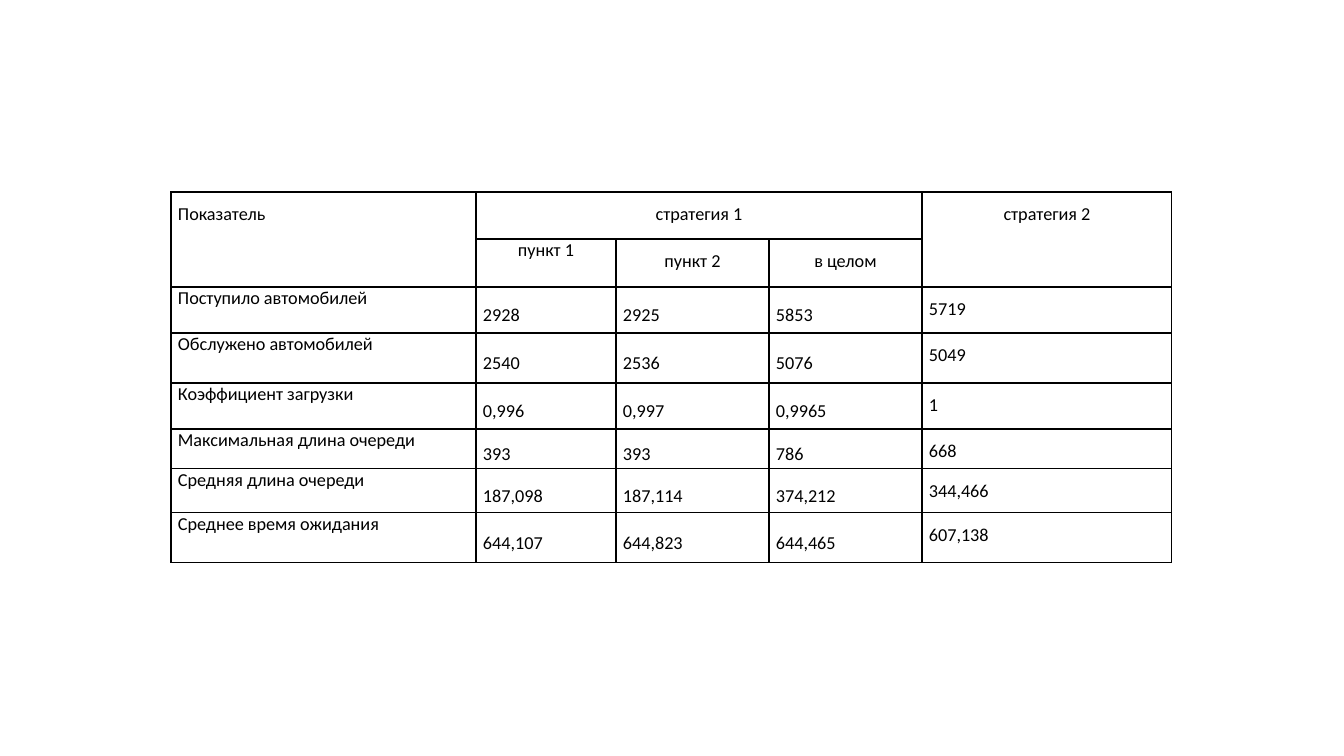
from lxml import etree
from pptx import Presentation
from pptx.dml.color import RGBColor
from pptx.enum.text import MSO_ANCHOR, PP_ALIGN
from pptx.oxml.ns import qn
from pptx.util import Pt

EMU = 914400 / 100.8
CENTER, JUSTIFY = PP_ALIGN.CENTER, PP_ALIGN.JUSTIFY
TOP, MIDDLE = MSO_ANCHOR.TOP, MSO_ANCHOR.MIDDLE
BLACK = "000000"
COLS = [305, 140, 153, 153, 250]
ROWS = [47, 48, 46, 50, 46, 40, 44, 50]
HEAD = [
    ["Показатель", "стратегия 1", "", "", "стратегия 2"],
    ["", "пункт 1", "пункт 2", "в целом", ""],
]
BODY = [
    ["Поступило автомобилей", "2928", "2925", "5853", "5719"],
    ["Обслужено автомобилей", "2540", "2536", "5076", "5049"],
    ["Коэффициент загрузки", "0,996", "0,997", "0,9965", "1"],
    ["Максимальная длина очереди", "393", "393", "786", "668"],
    ["Средняя длина очереди", "187,098", "187,114", "374,212", "344,466"],
    ["Среднее время ожидания", "644,107", "644,823", "644,465", "607,138"],
]
SPANS = [(0, 0, 1, 0), (0, 1, 0, 3), (0, 4, 1, 4)]


def px(n):
    return round(n * EMU)


def color(code):
    return RGBColor.from_string(code)


def frame(cell):
    """Draw the four borders of a cell and leave it unfilled."""
    props = cell._tc.get_or_add_tcPr()
    for side in ("lnL", "lnR", "lnT", "lnB"):
        line = etree.SubElement(props, qn("a:" + side), w=str(Pt(1)))
        fill = etree.SubElement(line, qn("a:solidFill"))
        etree.SubElement(fill, qn("a:srgbClr"), val=BLACK)
    cell.fill.background()


def write(cell, text, align, anchor, space):
    cell.margin_left = cell.margin_right = px(7)
    cell.margin_top = cell.margin_bottom = 0
    cell.vertical_anchor = anchor
    para = cell.text_frame.paragraphs[0]
    para.text = text
    para.alignment = align
    para.line_spacing = space
    font = para.font
    for run in para.runs:
        font = run.font
    font.size = Pt(13)
    font.name = "Calibri"
    font.color.rgb = color(BLACK)


def results(slide, left, top):
    """Place the table that compares the two strategies."""
    data = HEAD + BODY
    shape = slide.shapes.add_table(len(ROWS), len(COLS), px(left), px(top),
                                   px(sum(COLS)), px(sum(ROWS)))
    table = shape.table
    table.first_row = table.horz_banding = False
    for col, width in zip(table.columns, COLS):
        col.width = px(width)
    for row, height in zip(table.rows, ROWS):
        row.height = px(height)
    for r, line in enumerate(data):
        for c, text in enumerate(line):
            cell = table.cell(r, c)
            head = r < len(HEAD)
            align = CENTER if head and c else JUSTIFY
            anchor = MIDDLE if not head and 0 < c < 4 else TOP
            single = (r, c) == (1, 1) or (not head and c == 0)
            write(cell, text, align, anchor, 1.0 if single else 1.5)
            frame(cell)
    table.cell(0, 0).text_frame.paragraphs[0].space_before = Pt(12)
    for r, c, last, end in SPANS:
        table.cell(r, c).merge(table.cell(last, end))


def main():
    deck = Presentation()
    deck.slide_width, deck.slide_height = px(1344), px(756)
    slide = deck.slides.add_slide(deck.slide_layouts[6])
    results(slide, 171, 192)
    deck.save("out.pptx")


if __name__ == "__main__":
    main()
